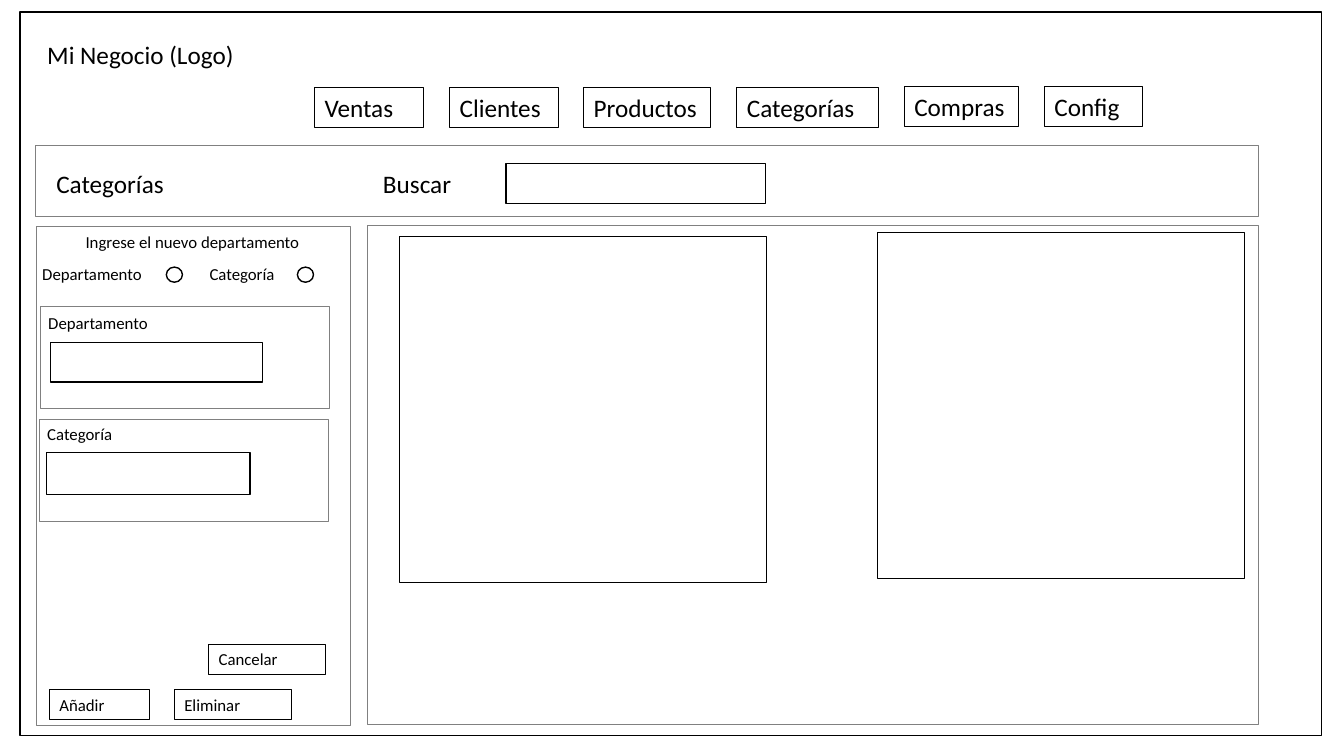
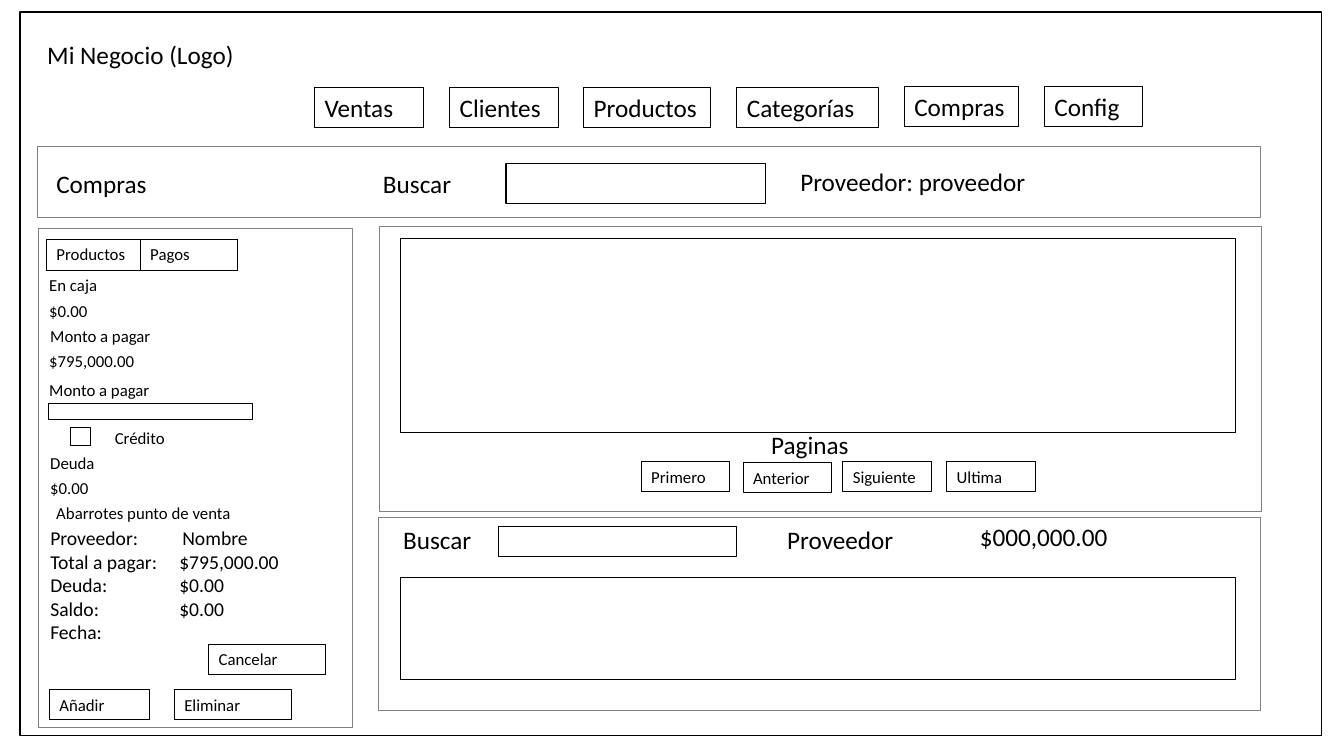
from dataclasses import dataclass

from lxml import etree
from pptx import Presentation
from pptx.dml.color import RGBColor
from pptx.enum.shapes import MSO_SHAPE
from pptx.enum.text import MSO_ANCHOR, MSO_AUTO_SIZE, PP_ALIGN
from pptx.oxml.ns import qn
from pptx.util import Inches, Pt

RECT = MSO_SHAPE.RECTANGLE
OVAL = MSO_SHAPE.OVAL
GROW = MSO_AUTO_SIZE.SHAPE_TO_FIT_TEXT
TOP = MSO_ANCHOR.TOP
LEFT = PP_ALIGN.LEFT


@dataclass(frozen=True)
class Theme:
    ink: RGBColor = RGBColor(0, 0, 0)
    gray: RGBColor = RGBColor(0x80, 0x80, 0x80)
    paper: RGBColor = RGBColor(0xFF, 0xFF, 0xFF)
    font: str = "Calibri"
    large: int = 18
    mid: int = 14
    small: int = 12
    thin: float = 0.75
    bold: float = 1


THEME = Theme()
HIGH = {THEME.large: 0.4, THEME.small: 0.3}
MENU = [
    ("Ventas", 3.12, 0.87, 1.08),
    ("Clientes", 4.46, 0.87, 1.08),
    ("Productos", 5.79, 0.87, 1.26),
    ("Categorías", 7.31, 0.87, 1.4),
    ("Compras", 8.97, 0.86, 1.13),
    ("Config", 10.36, 0.86, 0.97),
]
ACTIONS = [
    ("Añadir", 0.49, 6.84, 0.99),
    ("Eliminar", 1.73, 6.84, 1.16),
    ("Cancelar", 2.07, 6.39, 1.16),
]
PAGES = [
    ("Primero", 6.36, 4.58, 0.88),
    ("Anterior", 7.37, 4.59, 0.88),
    ("Siguiente", 8.36, 4.58, 0.88),
    ("Ultima", 9.39, 4.58, 0.88),
]
AMOUNTS = [
    ("En caja", 0.39, 2.68),
    ("$0.00", 0.39, 2.93),
    ("Monto a pagar", 0.4, 3.18),
    ("$795,000.00", 0.39, 3.43),
    ("Monto a pagar", 0.39, 3.72),
    ("Deuda", 0.4, 4.44),
    ("$0.00", 0.4, 4.69),
]
TOTALS = [
    ("Proveedor:\tNombre", 1.31),
    ("Total a pagar:\t$795,000.00", 1.28),
    ("Deuda:\t$0.00", 1.28),
    ("Saldo:\t$0.00", 1.28),
    ("Fecha:", 1.28),
]


def style(para, size):
    para.alignment = LEFT
    for run in para.runs:
        run.font.name = THEME.font
        run.font.size = Pt(size)
        run.font.bold = False
        run.font.color.rgb = THEME.ink


def stroke(shape, color, width):
    shape.line.color.rgb = color
    shape.line.width = Pt(width)


def label(slide, text, x, y, w, size=THEME.small, h=None):
    box = slide.shapes.add_textbox(
        Inches(x), Inches(y), Inches(w), Inches(h or HIGH[size])
    )
    frame = box.text_frame
    frame.word_wrap = True
    frame.auto_size = GROW
    frame.vertical_anchor = TOP
    frame.text = text
    for para in frame.paragraphs:
        style(para, size)
    return box


def button(slide, text, x, y, w, size=THEME.small):
    stroke(label(slide, text, x, y, w, size), THEME.ink, THEME.thin)


def frame(slide, x, y, w, h, color=THEME.ink, kind=RECT):
    shape = slide.shapes.add_shape(kind, Inches(x), Inches(y), Inches(w), Inches(h))
    shape.shadow.inherit = False
    shape.fill.background()
    stroke(shape, color, THEME.thin)
    return shape


def panel(slide, x, y, w, h):
    frame(slide, x, y, w, h, THEME.gray)


def solid(slide, x, y, w, h, kind=RECT):
    shape = frame(slide, x, y, w, h, kind=kind)
    shape.fill.solid()
    shape.fill.fore_color.rgb = THEME.paper
    stroke(shape, THEME.ink, THEME.bold)


def border(cell):
    props = cell._tc.get_or_add_tcPr()
    for place, side in enumerate(("a:lnL", "a:lnR", "a:lnT", "a:lnB")):
        line = etree.Element(qn(side), w=str(Pt(THEME.bold)))
        fill = etree.SubElement(line, qn("a:solidFill"))
        etree.SubElement(fill, qn("a:srgbClr"), val=str(THEME.ink))
        props.insert(place, line)


def tabs(slide, names, x, y, widths, h):
    grid = slide.shapes.add_table(
        1, len(names), Inches(x), Inches(y), Inches(sum(widths)), Inches(h)
    ).table
    grid.first_row = False
    grid.horz_banding = False
    grid.rows[0].height = Inches(h)
    for col, (name, width) in enumerate(zip(names, widths)):
        grid.columns[col].width = Inches(width)
        cell = grid.cell(0, col)
        cell.text = name
        style(cell.text_frame.paragraphs[0], THEME.small)
        cell.fill.background()
        border(cell)


def totals(slide, rows, x, y, w, h):
    text = "\n".join(row for row, stop in rows)
    box = label(slide, text, x, y, w, THEME.mid, h)
    for para, (row, stop) in zip(box.text_frame.paragraphs, rows):
        stops = etree.SubElement(para._p.get_or_add_pPr(), qn("a:tabLst"))
        etree.SubElement(stops, qn("a:tab"), pos=str(Inches(stop)), algn="l")


def screen(deck, title):
    slide = deck.slides.add_slide(deck.slide_layouts[6])
    solid(slide, 0.2, 0.12, 12.91, 7.18)
    label(slide, "Mi Negocio (Logo)", 0.37, 0.34, 2.58, THEME.large)
    for item in MENU:
        button(slide, *item, THEME.large)
    label(slide, title, 0.46, 1.62, 1.41, THEME.large)
    label(slide, "Buscar", 3.7, 1.62, 1.08, THEME.large)
    solid(slide, 5.02, 1.62, 2.57, 0.4)
    for item in ACTIONS:
        button(slide, *item)
    return slide


def groups(deck):
    slide = screen(deck, "Categorías")
    panel(slide, 0.35, 1.44, 12.13, 0.71)
    panel(slide, 0.36, 2.25, 3.12, 4.95)
    panel(slide, 3.65, 2.24, 8.83, 4.95)
    label(slide, "Ingrese el nuevo departamento", 0.75, 2.25, 2.68)
    label(slide, "Departamento", 0.32, 2.57, 1.32)
    label(slide, "Categoría", 1.98, 2.57, 1.36)
    for x in (1.65, 2.95):
        solid(slide, x, 2.65, 0.16, 0.15, OVAL)
    panel(slide, 0.4, 3.04, 2.87, 1.01)
    label(slide, "Departamento", 0.38, 3.05, 1.26)
    frame(slide, 0.5, 3.4, 2.1, 0.39)
    panel(slide, 0.39, 4.16, 2.87, 1.01)
    label(slide, "Categoría", 0.37, 4.15, 1.56)
    frame(slide, 0.46, 4.49, 2.02, 0.42)
    for x, y in ((3.96, 2.35), (8.7, 2.31)):
        frame(slide, x, y, 3.64, 3.43)


def orders(deck):
    slide = screen(deck, "Compras")
    panel(slide, 0.37, 1.45, 12.13, 0.71)
    label(slide, "Proveedor: proveedor", 7.84, 1.6, 2.53, THEME.large)

    panel(slide, 0.38, 2.27, 3.12, 4.95)
    tabs(slide, ("Productos", "Pagos"), 0.46, 2.38, (0.93, 0.97), 0.3)
    for text, x, y in AMOUNTS:
        label(slide, text, x, y, 1.26)
    frame(slide, 0.48, 4, 2.03, 0.16)
    frame(slide, 0.7, 4.24, 0.2, 0.18)
    label(slide, "Crédito", 1.04, 4.19, 1.46)
    label(slide, "Abarrotes punto de venta", 0.46, 4.94, 2.06)
    totals(slide, TOTALS, 0.4, 5.17, 2.55, 1.28)

    panel(slide, 3.76, 2.25, 8.75, 2.83)
    frame(slide, 3.97, 2.37, 8.28, 1.92)
    label(slide, "Paginas", 7.55, 4.21, 1.02, THEME.large)
    for item in PAGES:
        button(slide, *item)

    panel(slide, 3.75, 5.13, 8.75, 1.92)
    label(slide, "Buscar", 3.9, 5.15, 1.02, THEME.large)
    frame(slide, 4.94, 5.22, 2.37, 0.3)
    label(slide, "Proveedor", 7.71, 5.15, 1.33, THEME.large)
    label(slide, "$000,000.00", 9.62, 5.12, 1.49, THEME.large)
    frame(slide, 3.97, 5.73, 8.28, 1.01)


def main():
    deck = Presentation()
    deck.slide_width = Inches(13.33)
    deck.slide_height = Inches(7.5)
    groups(deck)
    orders(deck)
    deck.save("out.pptx")


main()
